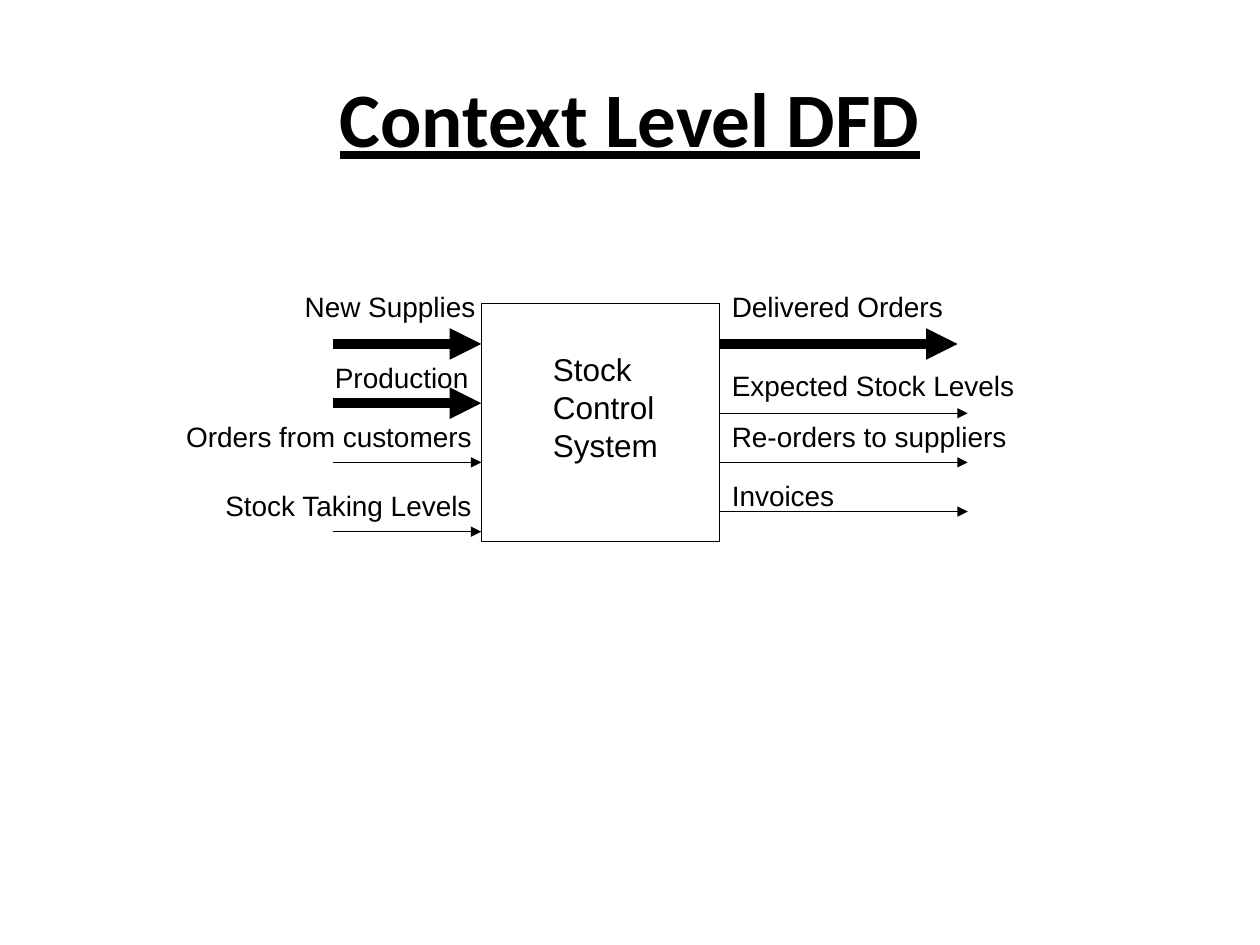
"""Build a context level data flow diagram of a stock control system."""
from dataclasses import dataclass

from lxml import etree
from pptx import Presentation
from pptx import util as u
from pptx.dml.color import RGBColor
from pptx.enum import shapes, text
from pptx.oxml import ns


@dataclass(frozen=True)
class Theme:
    ink: RGBColor = RGBColor(0, 0, 0)
    heading_font: str = "Calibri"
    body_font: str = "Arial"
    title_size: int = 44
    process_size: int = 18
    flow_size: int = 16
    thin: float = 0.75
    thick: float = 6


class Diagram:
    def __init__(self, slide, theme):
        self.slide = slide
        self.theme = theme

    def caption(self, words, left, top, width, height, size):
        box = self.slide.shapes.add_textbox(
            u.Inches(left), u.Inches(top), u.Inches(width), u.Inches(height))
        box.text_frame.word_wrap = True
        paragraph = box.text_frame.paragraphs[0]
        paragraph.text = words
        paragraph.font.name = self.theme.body_font
        paragraph.font.size = u.Pt(size)
        paragraph.font.color.rgb = self.theme.ink
        return box.text_frame

    def title(self, words):
        frame = self.caption(words, 0.5, 0.3, 9, 1.25, self.theme.title_size)
        frame.vertical_anchor = text.MSO_ANCHOR.MIDDLE
        heading = frame.paragraphs[0]
        heading.alignment = text.PP_ALIGN.CENTER
        heading.font.name = self.theme.heading_font
        heading.font.bold = True
        heading.font.underline = True

    def process(self, words, left, top, side):
        outline = self.slide.shapes.add_shape(
            shapes.MSO_SHAPE.RECTANGLE, u.Inches(left), u.Inches(top),
            u.Inches(side), u.Inches(side))
        outline.shadow.inherit = False
        outline.fill.background()
        outline.line.color.rgb = self.theme.ink
        outline.line.width = u.Pt(self.theme.thin)
        self.caption(words, left + 0.47, top + 0.32, 1.26, 1, self.theme.process_size)

    def arrow(self, start, end, y, weight):
        flow = self.slide.shapes.add_connector(
            shapes.MSO_CONNECTOR.STRAIGHT,
            u.Inches(start), u.Inches(y), u.Inches(end), u.Inches(y))
        flow.line.color.rgb = self.theme.ink
        flow.line.width = u.Pt(weight)
        properties = flow.element.spPr
        stroke = properties.find(ns.qn("a:ln"))
        etree.SubElement(stroke, ns.qn("a:tailEnd"), type="triangle")
        etree.SubElement(properties, ns.qn("a:effectLst"))

    def label(self, words, left, top):
        self.caption(words, left, top, 2.76, 0.37, self.theme.flow_size)


def main():
    theme = Theme()
    deck = Presentation()
    deck.slide_width, deck.slide_height = u.Inches(10), u.Inches(7.5)
    diagram = Diagram(deck.slides.add_slide(deck.slide_layouts[6]), theme)

    process_left, process_top, process_side = 3.82, 2.41, 1.89
    process_right = process_left + process_side
    source_left = 2.64
    diagram.title("Context Level DFD")
    diagram.process("Stock Control System", process_left, process_top, process_side)

    inputs = [
        ("New Supplies", 2.32, 2.25, 2.73, theme.thick),
        ("Production", 2.56, 2.81, 3.2, theme.thick),
        ("Orders from customers", 1.38, 3.28, 3.67, theme.thin),
        ("Stock Taking Levels", 1.69, 3.83, 4.22, theme.thin),
    ]
    for words, label_left, label_top, y, weight in inputs:
        diagram.arrow(source_left, process_left, y, weight)
        diagram.label(words, label_left, label_top)

    outputs = [
        ("Delivered Orders", 2.25, 2.73, 7.6, theme.thick),
        ("Expected Stock Levels", 2.88, 3.28, 7.68, theme.thin),
        ("Re-orders to suppliers", 3.28, 3.67, 7.68, theme.thin),
        ("Invoices", 3.75, 4.06, 7.68, theme.thin),
    ]
    for words, label_top, y, arrow_end, weight in outputs:
        diagram.arrow(process_right, arrow_end, y, weight)
        diagram.label(words, process_right, label_top)

    deck.save("out.pptx")


if __name__ == "__main__":
    main()
